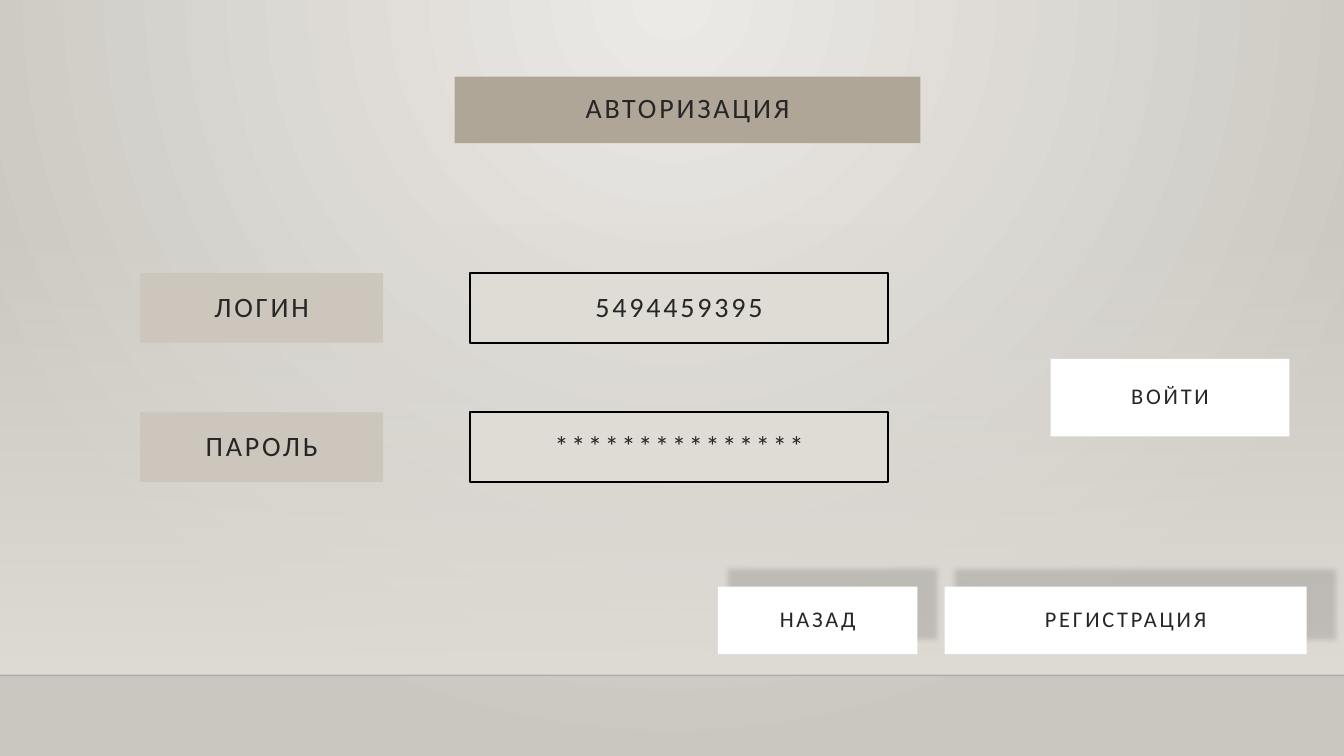
from pptx import Presentation
from pptx.dml.color import RGBColor as RGB
from pptx.enum.shapes import MSO_CONNECTOR as CONN, MSO_SHAPE as SHAPE
from pptx.enum.text import MSO_ANCHOR as ANCHOR, PP_ALIGN as ALIGN
from pptx.oxml import parse_xml
from pptx.oxml.ns import nsdecls
from pptx.util import Inches, Pt

COLORS = {
    "glow": "ECEAE7", "edge": "CAC7C1", "wall": "DFDBD5", "title": "B0A697",
    "label": "CCC6BC", "button": "FFFFFF", "text": "262626", "black": "000000",
}
WIDTH, HEIGHT = 13.33, 7.5
FLOOR_TOP, WALL_TOP = 6.7, 2.21

# Content
TITLE = ("АВТОРИЗАЦИЯ", (4.51, 0.76, 4.62, 0.66))
FORM = [("ЛОГИН", "5494459395"), ("ПАРОЛЬ", "*" * 15)]
BUTTONS = [  # text, box, casts a shadow
    ("РЕГИСТРАЦИЯ", (9.37, 5.82, 3.59, 0.67), True),
    ("ВОЙТИ", (10.42, 3.56, 2.37, 0.77), False),
    ("НАЗАД", (7.12, 5.82, 1.98, 0.67), True),
]

# Form grid
ROW_TOP, ROW_STEP, ROW_HEIGHT = 2.71, 1.38, 0.69
LABEL_LEFT, LABEL_WIDTH = 1.39, 2.41
FIELD_LEFT, FIELD_WIDTH = 4.66, 4.15


def stop(pos, color, alpha=100):
    return (f'<a:gs pos="{pos * 1000}"><a:srgbClr val="{COLORS[color]}">'
            f'<a:alpha val="{alpha * 1000}"/></a:srgbClr></a:gs>')


def gradient(stops, shade):
    return parse_xml(f'<a:gradFill {nsdecls("a")} rotWithShape="1">'
                     f'<a:gsLst>{"".join(stops)}</a:gsLst>{shade}</a:gradFill>')


def swap_fill(fill, holder, new):
    """Give the holder element an XML gradient in place of its plain fill."""
    fill.solid()
    old = holder.xpath("./a:solidFill")[0]
    holder.replace(old, new)


def add_box(s, box, fill):
    sp = s.shapes.add_shape(SHAPE.RECTANGLE, *map(Inches, box))
    sp.shadow.inherit = False
    sp.line.fill.background()
    sp.fill.solid()
    sp.fill.fore_color.rgb = RGB.from_string(COLORS[fill])
    return sp


def add_label(s, text, box, fill, size=20):
    sp = add_box(s, box, fill)
    tf = sp.text_frame
    tf.word_wrap = True
    tf.vertical_anchor = ANCHOR.MIDDLE
    tf.margin_left = tf.margin_right = Inches(0.3)
    tf.margin_top = tf.margin_bottom = Inches(0.2)
    tf.text = text
    p = tf.paragraphs[0]
    p.alignment = ALIGN.CENTER
    p.line_spacing = 0.9
    r = p.runs[0]
    r.font.name = "Calibri"
    r.font.size = Pt(size)
    r.font.color.rgb = RGB.from_string(COLORS["text"])
    r.font._element.set("spc", "200")
    return sp


def add_shadow(sp):
    effects = sp._element.spPr.xpath("./a:effectLst")[0]
    effects.append(parse_xml(
        f'<a:outerShdw {nsdecls("a")} blurRad="{Pt(4)}" dist="{Pt(13)}" '
        f'dir="{303 * 60000}" sx="105000" sy="103000" algn="bl" rotWithShape="0">'
        f'<a:srgbClr val="{COLORS["black"]}"><a:alpha val="13000"/></a:srgbClr>'
        '</a:outerShdw>'))


prs = Presentation()
prs.slide_width, prs.slide_height = Inches(WIDTH), Inches(HEIGHT)
s = prs.slides.add_slide(prs.slide_layouts[6])

# Background glow from the top centre
bg_fill = s.background.fill
bg_fill.solid()
swap_fill(bg_fill, s.element.xpath(".//p:bgPr")[0], gradient(
    [stop(0, "glow"), stop(100, "edge")],
    '<a:path path="circle">'
    '<a:fillToRect l="43000" t="0" r="43000" b="100000"/></a:path>'))

# Wall fading in towards the floor
wall = add_box(s, (0, WALL_TOP, WIDTH, FLOOR_TOP - WALL_TOP), "wall")
swap_fill(wall.fill, wall._element.spPr, gradient(
    [stop(0, "wall", 0), stop(100, "wall")], '<a:lin ang="5400000" scaled="0"/>'))

# Floor line
floor = s.shapes.add_connector(
    CONN.STRAIGHT, 0, Inches(FLOOR_TOP), Inches(WIDTH), Inches(FLOOR_TOP))
floor.line.width = Pt(1)
floor.line.color.rgb = RGB.from_string(COLORS["black"])
floor_pr = floor._element.spPr
floor_pr.xpath(".//a:srgbClr")[0].append(
    parse_xml(f'<a:alpha {nsdecls("a")} val="20000"/>'))
floor_pr.append(parse_xml(f'<a:effectLst {nsdecls("a")}/>'))

# Title
add_label(s, *TITLE, "title")

# Login form
for i, (name, value) in enumerate(FORM):
    top = ROW_TOP + i * ROW_STEP
    add_label(s, name, (LABEL_LEFT, top, LABEL_WIDTH, ROW_HEIGHT), "label")
    field = add_label(s, value, (FIELD_LEFT, top, FIELD_WIDTH, ROW_HEIGHT), "wall")
    field.line.color.rgb = RGB.from_string(COLORS["black"])
    field.line.width = Pt(1.5)

# Buttons
for text, box, shaded in BUTTONS:
    button = add_label(s, text, box, "button", 16)
    if shaded:
        add_shadow(button)

prs.save("out.pptx")
